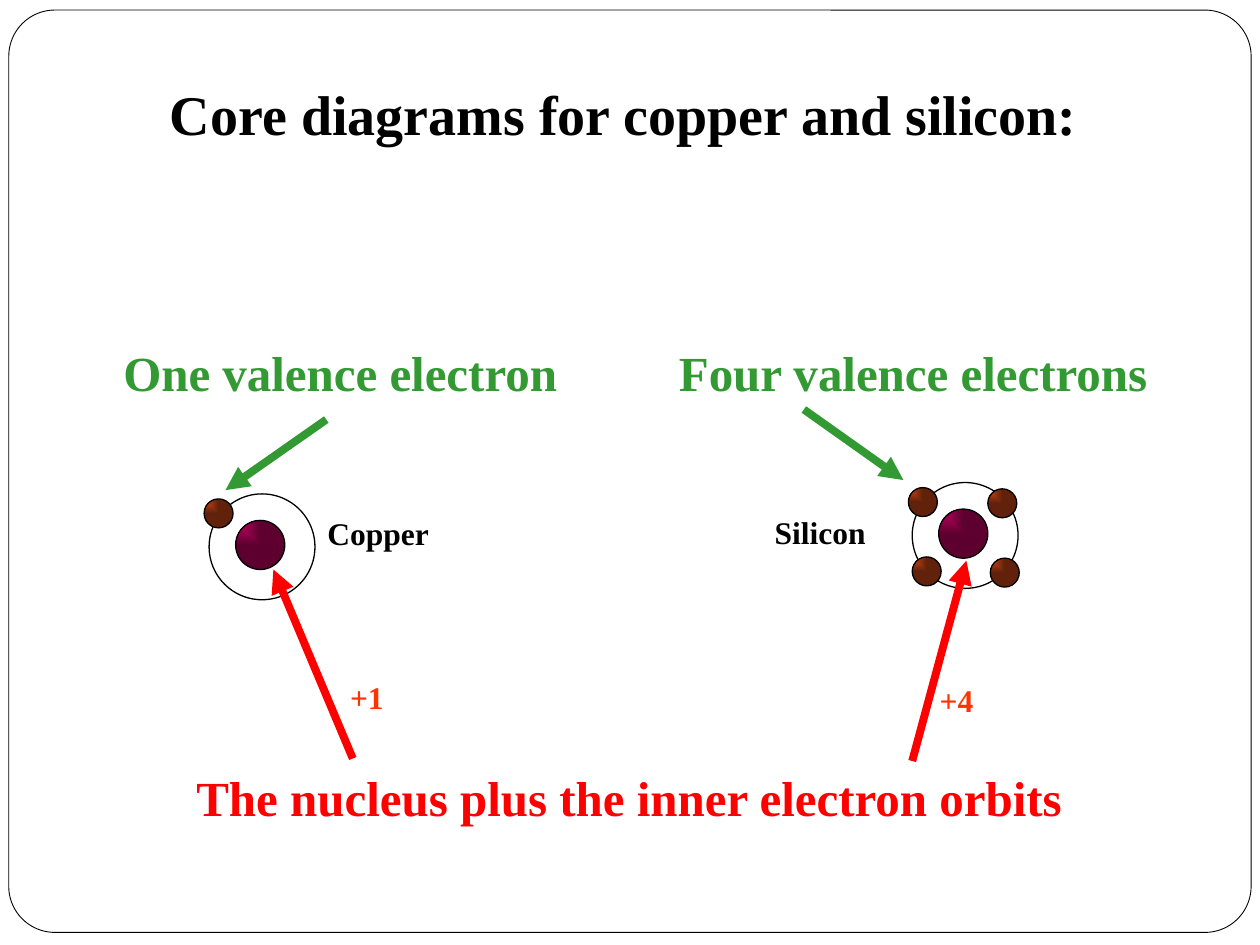
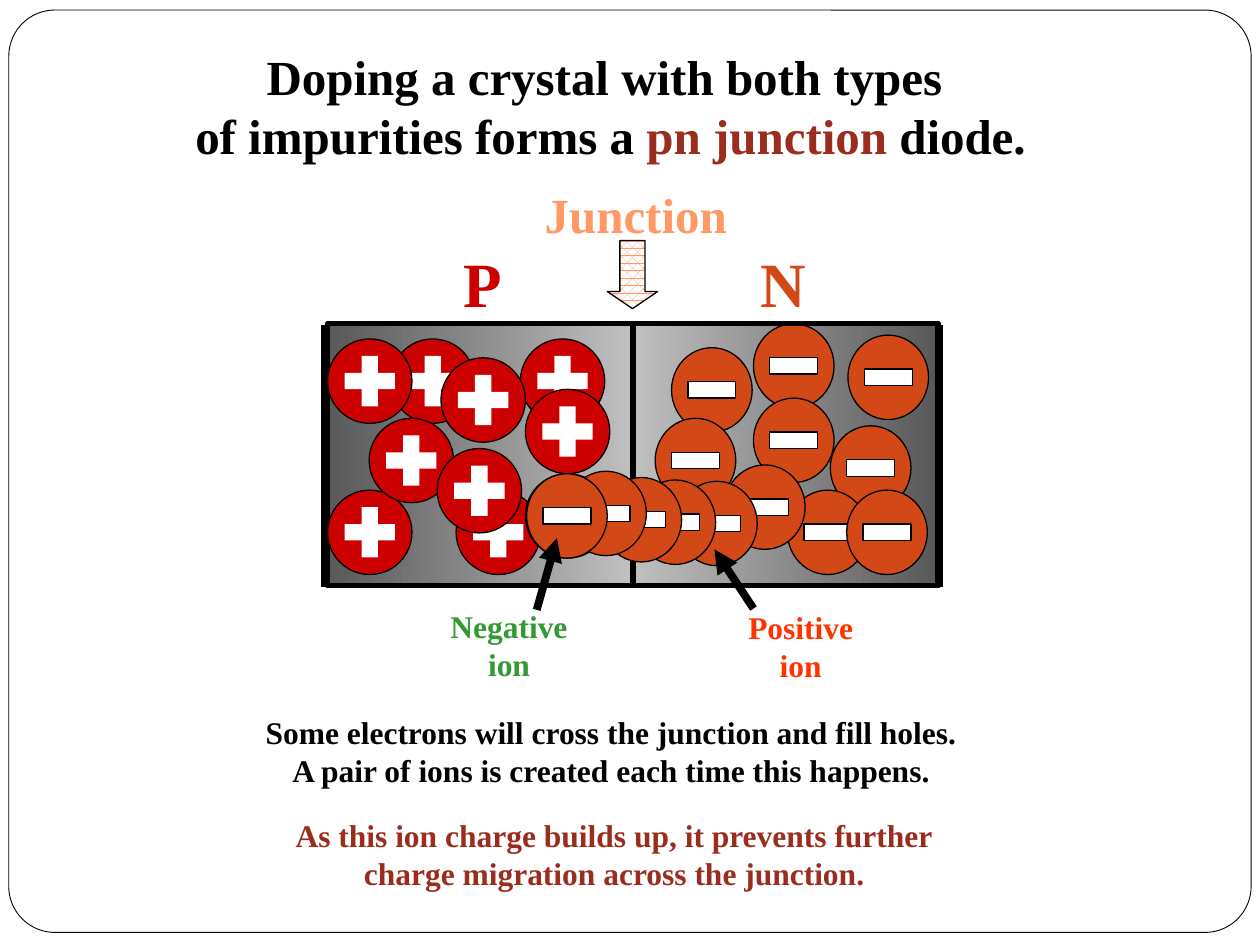
import dataclasses

import pptx
import pptx.dml.color
import pptx.enum.dml
import pptx.enum.shapes
import pptx.enum.text
import pptx.oxml
import pptx.oxml.ns
import pptx.util

Inches = pptx.util.Inches
Pt = pptx.util.Pt
qn = pptx.oxml.ns.qn
SHAPE = pptx.enum.shapes.MSO_SHAPE
ALIGN = pptx.enum.text.PP_ALIGN
ANCHOR = pptx.enum.text.MSO_ANCHOR


@dataclasses.dataclass(frozen=True)
class Theme:
    font: str = "Times New Roman"
    black: str = "000000"
    white: str = "FFFFFF"
    green: str = "339933"
    red: str = "FF0000"
    charge: str = "FF3300"
    hole: str = "CC0000"
    electron: str = "D34817"
    nucleus: str = "CC0066"
    accent: str = "9B2D1F"
    junction: str = "FF9966"
    silver: str = "C0C0C0"
    title: int = 32
    heading: int = 28
    letter: int = 36
    body: int = 18
    outline: float = 0.75
    frame: float = 0.5
    half: float = 3
    heavy: float = 4.5


@dataclasses.dataclass(frozen=True)
class Box:
    left: float
    top: float
    width: float
    height: float

    def inside(self, left, top, width, height):
        return Box(self.left + left, self.top + top, width, height)

    def point(self, x, y):
        return self.left + x, self.top + y

    def lengths(self):
        return [Inches(value) for value in dataclasses.astuple(self)]


THEME = Theme()
PAGE = Box(0, 0, 10, 7.5)


def rgb(color):
    return pptx.dml.color.RGBColor.from_string(color)


def draw(page, kind, box, fill=None, line=None, weight=THEME.outline):
    shape = page.shapes.add_shape(kind, *box.lengths())
    shape.shadow.inherit = False
    if fill:
        shape.fill.solid()
        shape.fill.fore_color.rgb = rgb(fill)
    else:
        shape.fill.background()
    if line:
        shape.line.color.rgb = rgb(line)
        shape.line.width = Pt(weight)
    else:
        shape.line.fill.background()
    return shape


def shade_fill(shape, stops, direction):
    """Fill an unfilled shape with a gradient; stops are (percent, colour, darkened)."""
    dark = '<a:gamma/><a:shade val="46275"/><a:invGamma/>'
    marks = "".join(
        f'<a:gs pos="{percent * 1000}"><a:srgbClr val="{color}">'
        f'{dark if darkened else ""}</a:srgbClr></a:gs>'
        for percent, color, darkened in stops)
    gradient = pptx.oxml.parse_xml(
        f'<a:gradFill {pptx.oxml.ns.nsdecls("a")} rotWithShape="1">'
        f"<a:gsLst>{marks}</a:gsLst>{direction}</a:gradFill>")
    properties = shape.element.spPr
    properties.replace(properties.find(qn("a:noFill")), gradient)


def connect(page, start, end, color, arrow=False):
    line = page.shapes.add_connector(
        pptx.enum.shapes.MSO_CONNECTOR.STRAIGHT,
        *(Inches(value) for value in (*start, *end)))
    line.line.color.rgb = rgb(color)
    line.line.width = Pt(THEME.heavy)
    properties = line.element.spPr
    if arrow:
        stroke = properties.find(qn("a:ln"))
        stroke.append(stroke.makeelement(qn("a:tailEnd"), {"type": "triangle"}))
    properties.append(properties.makeelement(qn("a:effectLst"), {}))


def write(page, box, lines, size, color, align=ALIGN.LEFT, anchor=ANCHOR.TOP):
    """Write lines, each a string or a list of (text, colour) spans."""
    frame = page.shapes.add_textbox(*box.lengths()).text_frame
    frame.word_wrap = False
    frame.auto_size = pptx.enum.text.MSO_AUTO_SIZE.SHAPE_TO_FIT_TEXT
    frame.vertical_anchor = anchor
    for index, line in enumerate(lines):
        para = frame.paragraphs[0] if index == 0 else frame.add_paragraph()
        para.alignment = align
        para.font.name = THEME.font
        para.font.size = Pt(size)
        para.font.bold = True
        spans = [(line, color)] if isinstance(line, str) else line
        for text, span_color in spans:
            span = para.add_run()
            span.text = text
            span.font.color.rgb = rgb(span_color)


def add_page(deck):
    page = deck.slides.add_slide(deck.slide_layouts[6])
    frame = draw(page, SHAPE.ROUNDED_RECTANGLE, PAGE.inside(0.07, 0.08, 9.86, 7.32),
                 THEME.white, THEME.black, THEME.frame)
    frame.adjustments[0] = 0.05
    return page


def ball(page, box, color):
    shape = draw(page, SHAPE.OVAL, box, line=THEME.black)
    shade_fill(shape, [(0, color, False), (100, color, True)],
               '<a:path path="rect"><a:fillToRect r="100000" b="100000"/></a:path>')


def atom(page, box, electrons):
    ball(page, box.inside(0.21, 0.21, 0.39, 0.39), THEME.nucleus)
    draw(page, SHAPE.OVAL, box, line=THEME.black)
    for x, y in electrons:
        ball(page, box.inside(x, y, 0.23, 0.23), THEME.electron)


def core_page(deck):
    page = add_page(deck)
    atom(page, PAGE.inside(1.66, 3.92, 0.84, 0.84), [(-0.04, 0.04)])
    atom(page, PAGE.inside(7.24, 3.83, 0.84, 0.84),
         [(-0.03, 0.04), (0, 0.59), (0.6, 0.05), (0.62, 0.6)])
    for place, text, size, color in [
        ((1.25, 0.58, 7.42, 0.63), "Core diagrams for copper and silicon:",
         THEME.title, THEME.black),
        ((0.88, 2.67, 3.65, 0.57), "One valence electron", THEME.heading, THEME.green),
        ((5.29, 2.67, 3.93, 0.57), "Four valence electrons", THEME.heading, THEME.green),
        ((1.46, 6.04, 7.09, 0.57), "The nucleus plus the inner electron orbits",
         THEME.heading, THEME.red),
        ((2.5, 4.03, 1.28, 0.5), "Copper", THEME.body, THEME.black),
        ((6.05, 4.02, 1.16, 0.5), "Silicon", THEME.body, THEME.black),
        ((2.68, 5.33, 0.56, 0.5), "+1", THEME.body, THEME.charge),
        ((7.36, 5.36, 0.56, 0.5), "+4", THEME.body, THEME.charge),
    ]:
        write(page, PAGE.inside(*place), [text], size, color)
    for start, end, color in [
        ((2.59, 3.33), (1.79, 3.89), THEME.green),
        ((6.38, 3.25), (7.17, 3.81), THEME.green),
        ((2.8, 6.02), (2.17, 4.52), THEME.red),
        ((7.24, 6.04), (7.67, 4.45), THEME.red),
    ]:
        connect(page, start, end, color, arrow=True)


def add_holes(page, crystal, places):
    for x, y in places:
        box = crystal.inside(x, y, 0.67, 0.67)
        draw(page, SHAPE.OVAL, box, THEME.hole, THEME.black)
        for width, height in [(0.4, 0.13), (0.13, 0.4)]:
            bar = box.inside((box.width - width) / 2, (box.height - height) / 2, width, height)
            draw(page, SHAPE.RECTANGLE, bar, THEME.white)


def add_electrons(page, crystal, places):
    for x, y in places:
        box = crystal.inside(x, y, 0.64, 0.67)
        draw(page, SHAPE.OVAL, box, THEME.electron, THEME.black)
        draw(page, SHAPE.RECTANGLE, box.inside(0.13, 0.27, 0.38, 0.13),
             THEME.white, THEME.black)


def crystal_diagram(page, crystal):
    body = draw(page, SHAPE.RECTANGLE, crystal)
    shade_fill(body, [(0, THEME.silver, True), (50, THEME.silver, False),
                      (100, THEME.silver, True)], '<a:lin ang="0" scaled="1"/>')
    add_electrons(page, crystal, [
        (4.01, 0.8), (3.4, -0.01), (3.67, 1.31), (3.4, 0.58),
        (2.75, 0.18), (4.15, 0.08), (4.14, 1.31)])
    for x in (0.02, 2.44):
        draw(page, SHAPE.RECTANGLE, crystal.inside(x, -0.01, 2.43, 2.08),
             line=THEME.black, weight=THEME.half)
    for x in (0, crystal.width):
        connect(page, crystal.point(x, 0), crystal.point(x, crystal.height), THEME.black)
    add_electrons(page, crystal, [(3.17, 1.11), (2.62, 0.74)])
    add_holes(page, crystal, [
        (0.52, 0.11), (0.02, 0.11), (1.55, 0.11), (0.02, 1.31), (0.35, 0.74),
        (1.04, 1.31), (0.92, 0.26), (1.59, 1.18), (0.89, 0.98), (1.59, 0.51)])

    for place, text, size, color in [
        ((1, -0.69, 0.51, 0.7), "P", THEME.letter, THEME.hole),
        ((3.36, -0.69, 0.56, 0.7), "N", THEME.letter, THEME.electron),
        ((1.64, -1.17, 1.65, 0.57), "Junction", THEME.heading, THEME.junction),
    ]:
        write(page, crystal.inside(*place), [text], size, color, ALIGN.CENTER, ANCHOR.MIDDLE)
    pointer = draw(page, SHAPE.DOWN_ARROW, crystal.inside(2.24, -0.67, 0.4, 0.54),
                   line=THEME.black)
    pointer.adjustments[1] = 0.34
    pointer.fill.patterned()
    pointer.fill.pattern = pptx.enum.dml.MSO_PATTERN.PERCENT_60
    pointer.fill.fore_color.rgb = rgb(THEME.junction)
    pointer.fill.back_color.rgb = rgb(THEME.white)

    crossing = [(2.79, 1.24), (2.46, 1.23), (2.19, 1.21), (1.91, 1.16), (1.6, 1.18)]
    add_electrons(page, crystal, crossing)
    for place, sign, color, start, end in [
        ((0.74, 2.19, 1.44, 0.9), "Negative", THEME.green, (1.68, 2.26), (1.84, 1.69)),
        ((3.12, 2.2, 1.31, 0.9), "Positive", THEME.charge, (3.4, 2.25), (3.09, 1.78)),
    ]:
        write(page, crystal.inside(*place), [sign, "ion"], THEME.body, color, ALIGN.CENTER)
        connect(page, crystal.point(*start), crystal.point(*end), THEME.black, arrow=True)


def junction_page(deck):
    page = add_page(deck)
    crystal_diagram(page, PAGE.inside(2.58, 2.58, 4.87, 2.08))
    for place, lines, size, color in [
        ((1.44, 0.32, 6.81, 1.03),
         ["Doping a crystal with both types ",
          [("of impurities forms a ", THEME.black), ("pn junction", THEME.accent),
           (" diode.", THEME.black)]],
         THEME.heading, THEME.black),
        ((1.09, 5.61, 7.52, 0.9),
         ["Some electrons will cross the junction and fill holes.",
          "A pair of ions is created each time this happens."],
         THEME.body, THEME.black),
        ((1.4, 6.43, 6.95, 0.9),
         ["As this ion charge builds up, it prevents further",
          "charge migration across the junction."],
         THEME.body, THEME.accent),
    ]:
        write(page, PAGE.inside(*place), lines, size, color, ALIGN.CENTER)


def main():
    deck = pptx.Presentation()
    deck.slide_width = Inches(PAGE.width)
    deck.slide_height = Inches(PAGE.height)
    core_page(deck)
    junction_page(deck)
    deck.save("out.pptx")


if __name__ == "__main__":
    main()
